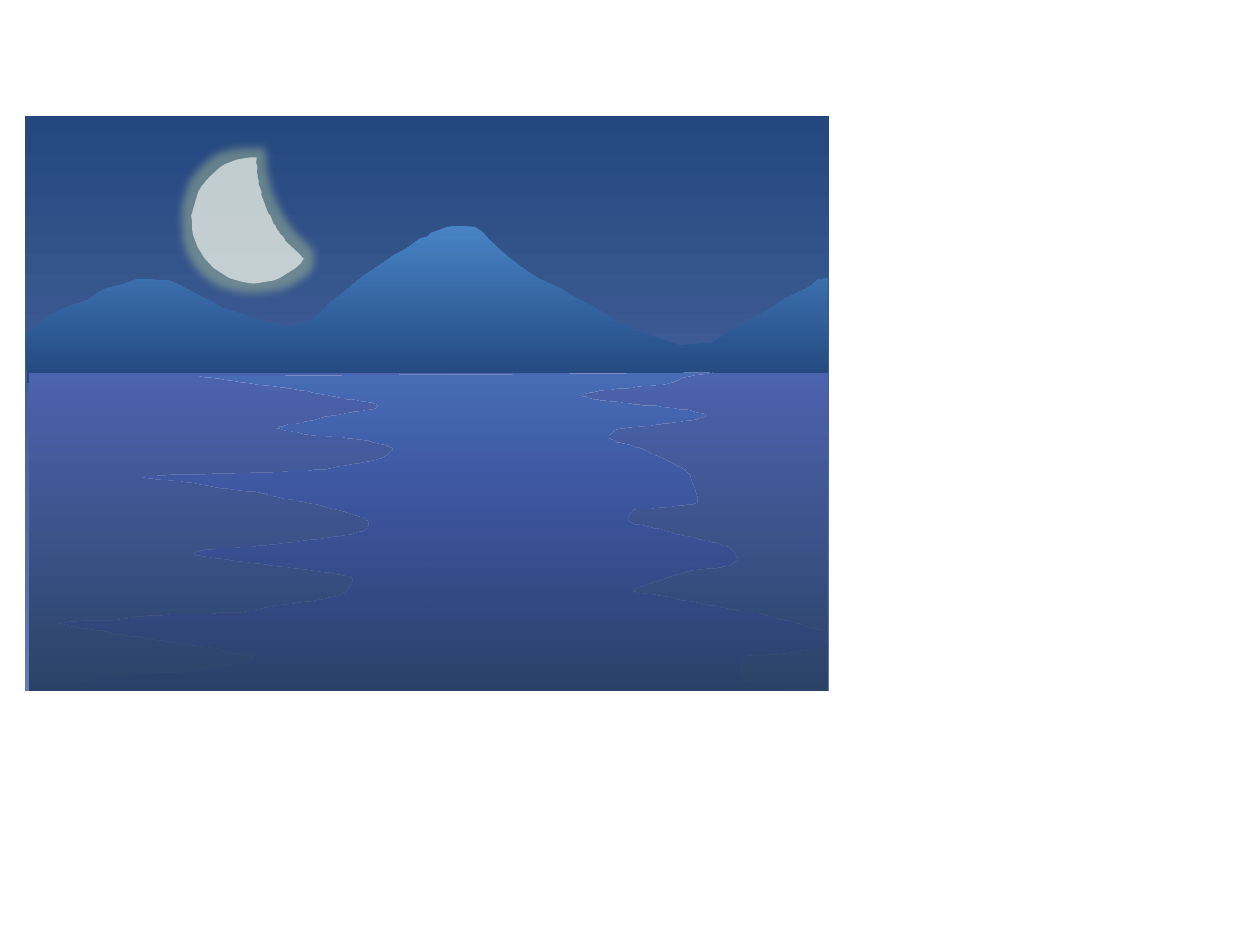
from math import cos, radians, sin

from lxml.etree import SubElement
from pptx import Presentation
from pptx.dml.color import RGBColor
from pptx.enum.shapes import MSO_SHAPE as Shape
from pptx.oxml.ns import qn
from pptx.util import Cm

UNIT = Cm(0.0254)  # all points below are in this unit

RIDGE = [
    (20, 266), (32, 256), (41, 250), (55, 243), (65, 240), (70, 238), (80, 231),
    (84, 229), (97, 226), (108, 222), (120, 222), (135, 223), (144, 227), (155, 233),
    (163, 237), (178, 245), (203, 253), (211, 256), (227, 259), (240, 257), (249, 253),
    (256, 247), (260, 242), (269, 235), (280, 226), (290, 218), (302, 210), (312, 203),
    (323, 197), (331, 191), (334, 189), (339, 188), (342, 185), (355, 180), (363, 179),
    (377, 180), (383, 184), (388, 190), (401, 202), (411, 210), (421, 217), (427, 221),
    (445, 229), (456, 236), (470, 243), (489, 255), (503, 261), (518, 267), (539, 274),
    (566, 272), (573, 267), (583, 261), (592, 256), (608, 247), (623, 237), (632, 233),
    (644, 227), (649, 222), (657, 221),
]
FOOT = [(657, 304), (22, 304)]

LEFT_BANK = [
    (159, 299), (245, 311), (270, 316), (280, 317), (299, 321), (296, 325), (264, 330),
    (242, 335), (226, 338), (220, 340), (229, 342), (239, 344), (264, 347), (280, 348),
    (305, 353), (312, 357), (302, 364), (261, 372), (229, 374), (115, 378), (144, 382),
    (182, 388), (207, 391), (223, 395), (251, 400), (280, 408), (289, 411), (293, 416),
    (289, 421), (264, 426), (232, 430), (197, 434), (172, 435), (156, 438), (156, 440),
    (182, 444), (213, 448), (245, 452), (277, 457), (280, 461), (275, 469), (261, 474),
    (210, 482), (194, 485), (153, 487), (118, 488), (96, 491), (48, 494), (83, 500),
    (121, 507), (166, 513), (188, 518), (201, 520), (197, 524), (188, 526), (163, 530),
    (140, 533), (109, 534), (77, 538), (58, 542), (39, 544), (23, 548),
]
RIGHT_BANK = [
    (632, 548), (604, 544), (597, 542), (588, 534), (591, 521), (604, 520), (629, 517),
    (648, 514), (657, 513), (654, 501), (645, 498), (623, 492), (600, 486), (588, 485),
    (569, 481), (553, 478), (527, 473), (502, 469), (515, 463), (546, 453), (572, 450),
    (581, 447), (585, 443), (578, 434), (559, 429), (537, 424), (524, 420), (499, 414),
    (502, 405), (515, 404), (550, 400), (553, 396), (550, 385), (545, 375), (534, 368),
    (518, 361), (508, 356), (489, 351), (483, 347), (490, 341), (524, 337), (553, 333),
    (559, 329), (531, 324), (502, 321), (470, 317), (461, 314), (470, 312), (489, 309),
    (515, 307), (534, 304), (543, 300), (565, 296),
]


def smooth(points, steps=4, tension=0.13):
    """Return points along a cubic curve that passes through the given ones."""
    padded = [points[0], *points, points[-1]]
    curve = []
    for a, b, c, d in zip(padded, padded[1:], padded[2:], padded[3:]):
        for i in range(steps):
            t = i / steps
            u = 1 - t
            curve.append(tuple(
                u**3 * q + 3 * u * u * t * (q + tension * (r - p))
                + 3 * u * t * t * (r - tension * (s - q)) + t**3 * r
                for p, q, r, s in zip(a, b, c, d)))
    return curve + [points[-1]]


def arc(x, y, radius, start, end, steps=40):
    angles = [radians(start + (end - start) * i / steps) for i in range(steps + 1)]
    return [(x + radius * cos(a), y + radius * sin(a)) for a in angles]


def add_alpha(color, percent):
    SubElement(color, qn("a:alpha"), val=str(percent * 1000))


def rgb(color):
    return RGBColor.from_string(color)


def fill_gradient(s, top, bottom):
    s.fill.gradient()
    s.fill.gradient_angle = 270
    for stop, color in zip(s.fill.gradient_stops, (top, bottom)):
        stop.color.rgb = rgb(color)


def make_plain(s):
    s.shadow.inherit = False
    s.line.fill.background()
    return s


def add_rect(slide, x, y, w, h, top, bottom):
    s = slide.shapes.add_shape(Shape.RECTANGLE, Cm(x), Cm(y), Cm(w), Cm(h))
    fill_gradient(make_plain(s), top, bottom)


def add_outline(slide, points):
    builder = slide.shapes.build_freeform(*points[0], scale=UNIT)
    builder.add_line_segments(points[1:], close=True)
    return make_plain(builder.convert_to_shape())


def add_reflection(slide):
    s = add_outline(slide, smooth(LEFT_BANK) + smooth(RIGHT_BANK))
    fill_gradient(s, "486DB6", "29358F")
    add_alpha(list(s._element.spPr.iter(qn("a:srgbClr")))[-1], 0)


def add_moon(slide):
    s = add_outline(slide, arc(203, 179, 50, 58, 292) + arc(318, 170, 103, 201, 150))
    s.rotation = 339.4
    s.fill.solid()
    s.fill.fore_color.rgb = rgb("FFFFFF")
    spPr = s._element.spPr
    add_alpha(spPr.find(qn("a:solidFill"))[0], 60)
    glow = SubElement(spPr.find(qn("a:effectLst")), qn("a:glow"), rad=str(Cm(0.35)))
    add_alpha(SubElement(glow, qn("a:srgbClr"), val="C3D69B"), 40)


def main():
    prs = Presentation()
    prs.slide_width, prs.slide_height = Cm(25.4), Cm(19.05)
    slide = prs.slides.add_slide(prs.slide_layouts[6])
    add_rect(slide, 0.51, 2.33, 16.2, 11.6, "25477F", "607AB4")  # sky
    fill_gradient(add_outline(slide, RIDGE + FOOT), "4783C5", "23477D")
    add_rect(slide, 0.59, 7.52, 16.1, 6.41, "4C63AE", "2B4367")  # water
    add_reflection(slide)
    add_moon(slide)
    prs.save("out.pptx")


if __name__ == "__main__":
    main()
